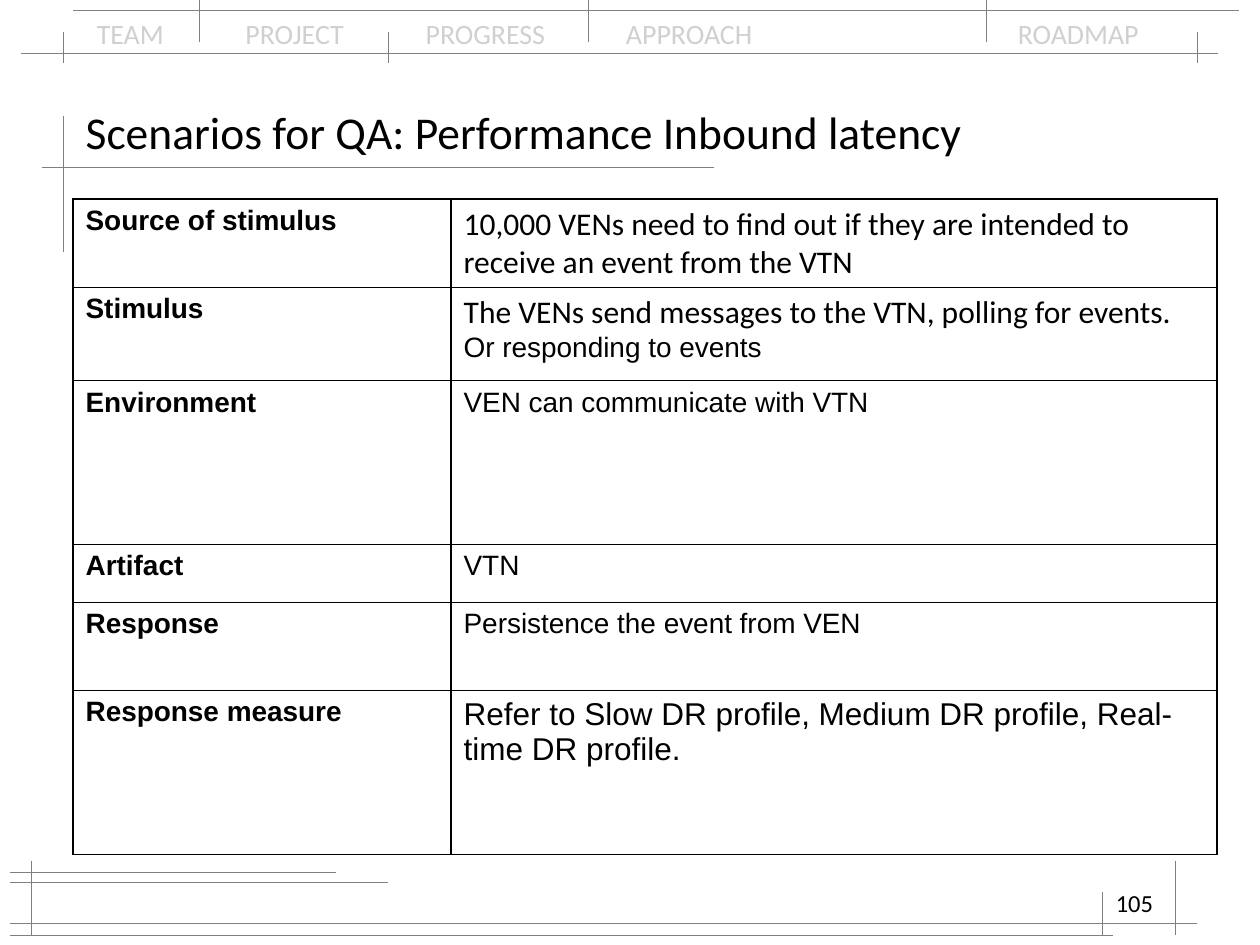
from lxml import etree
from pptx import Presentation
from pptx.dml.color import RGBColor
from pptx.enum.shapes import MSO_CONNECTOR
from pptx.enum.text import MSO_ANCHOR, PP_ALIGN
from pptx.oxml.ns import qn
from pptx.util import Inches, Pt

STRAIGHT = MSO_CONNECTOR.STRAIGHT
MIDDLE = MSO_ANCHOR.MIDDLE
LEFT, RIGHT = PP_ALIGN.LEFT, PP_ALIGN.RIGHT
TITLE_ONLY = 5

BLACK, GRAY, PALE = "000000", "808080", "D0D0D0"

# Each tab label with its distance from the first one, in inches
NAVIGATION = [("TEAM", 0), ("PROJECT", 1.18), ("PROGRESS", 2.61),
              ("APPROACH", 4.2), ("ROADMAP", 7.31)]

# Horizontal rules: (y, left, right); vertical rules: (x, top, bottom)
HORIZONTAL_RULES = [(0.42, 0.17, 9.67), (0.08, 0.58, 9.83), (1.33, 0.33, 5.67),
                    (7, 0.08, 3.08), (7.33, 0.08, 9.5), (6.92, 0.08, 2.67),
                    (7.42, 0.08, 8.83)]
VERTICAL_RULES = [(0.5, 0.92, 2), (0.25, 6.83, 7.42), (9.33, 6.83, 7.42),
                  (8.75, 7.08, 7.42), (0.5, 0.25, 0.5), (3.08, 0.25, 0.5),
                  (9.5, 0.25, 0.5), (1.58, 0, 0.33), (4.67, 0, 0.33),
                  (7.83, 0, 0.33)]

COLUMN_WIDTHS = [3, 6.08]
# Row height, label, and paragraphs as (text, font, size)
SCENARIO = [
    (0.58, "Source of stimulus",
     [("10,000 VENs need to find out if they are intended to receive an event "
       "from the VTN", "Calibri", 18)]),
    (0.74, "Stimulus",
     [("The VENs send messages to the VTN, polling for events.", "Calibri", 18),
      ("Or responding to events", "Arial", 16)]),
    (1.3, "Environment", [("VEN can communicate with VTN", "Arial", 16)]),
    (0.46, "Artifact", [("VTN", "Arial", 16)]),
    (0.7, "Response", [("Persistence the event from VEN", "Arial", 16)]),
    (1.3, "Response measure",
     [("Refer to Slow DR profile, Medium DR profile, Real-time DR profile.",
       "Arial", 18)]),
]


def color(hex_string):
    return RGBColor.from_string(hex_string)


def style(para, font, size, hex_string=BLACK, bold=False):
    para.font.name = font
    para.font.size = Pt(size)
    para.font.bold = bold
    para.font.color.rgb = color(hex_string)


def add_text_box(page, box):
    frame = page.shapes.add_textbox(*map(Inches, box)).text_frame
    frame.word_wrap = True
    return frame.paragraphs[0]


def add_rule(page, x1, y1, x2, y2):
    rule = page.shapes.add_connector(STRAIGHT, *map(Inches, (x1, y1, x2, y2)))
    rule.line.color.rgb = color(GRAY)
    rule.line.width = Pt(0.3)
    etree.SubElement(rule._element.spPr, qn("a:effectLst"))


def add_rules(page):
    for y, left, right in HORIZONTAL_RULES:
        add_rule(page, left, y, right, y)
    for x, top, bottom in VERTICAL_RULES:
        add_rule(page, x, top, x, bottom)


def add_navigation(page, box):
    para = add_text_box(page, box)
    para.text = "\t".join(label for label, _ in NAVIGATION)
    tabs = etree.SubElement(para._p.get_or_add_pPr(), qn("a:tabLst"))
    for _, offset in NAVIGATION[1:]:
        etree.SubElement(tabs, qn("a:tab"), pos=str(Inches(offset)), algn="l")
    style(para, "Calibri", 16, PALE)


def add_title(page, box, text):
    title = page.shapes.title
    title.left, title.top, title.width, title.height = map(Inches, box)
    title.text_frame.vertical_anchor = MIDDLE
    para = title.text_frame.paragraphs[0]
    para.text = text
    para.alignment = LEFT
    style(para, "Calibri", 26)


def add_page_number(page, box, number):
    para = add_text_box(page, box)
    para.text = number
    para.alignment = RIGHT
    style(para, "Calibri", 14)


def add_borders(cell):
    properties = cell._tc.get_or_add_tcPr()
    for index, side in enumerate(("lnL", "lnR", "lnT", "lnB")):
        border = etree.Element(qn(f"a:{side}"), w=str(Pt(1)))
        fill = etree.SubElement(border, qn("a:solidFill"))
        etree.SubElement(fill, qn("a:srgbClr"), val=BLACK)
        properties.insert(index, border)


def fill_cell(cell, paragraphs, bold):
    cell.fill.background()
    add_borders(cell)
    frame = cell.text_frame
    frame.text = "\n".join(text for text, _, _ in paragraphs)
    for para, (_, font, size) in zip(frame.paragraphs, paragraphs):
        style(para, font, size, bold=bold)


def add_scenario_table(page, box):
    table = page.shapes.add_table(len(SCENARIO), len(COLUMN_WIDTHS),
                                  *map(Inches, box)).table
    table.first_row = False
    table.horz_banding = False
    for column, width in zip(table.columns, COLUMN_WIDTHS):
        column.width = Inches(width)
    for row, (height, label, paragraphs) in zip(table.rows, SCENARIO):
        row.height = Inches(height)
        fill_cell(row.cells[0], [(label, "Arial", 16)], bold=True)
        fill_cell(row.cells[1], paragraphs, bold=False)


def main():
    deck = Presentation()
    deck.slide_width, deck.slide_height = Inches(10), Inches(7.5)
    page = deck.slides.add_slide(deck.slide_layouts[TITLE_ONLY])
    add_navigation(page, (0.67, 0.08, 8.67, 0.37))
    add_rules(page)
    add_title(page, (0.58, 0.75, 8.83, 0.58),
              "Scenarios for QA: Performance Inbound latency")
    add_page_number(page, (7.17, 7, 2.08, 0.5), "105")
    add_scenario_table(page, (0.58, 1.58, 9.08, 5.08))
    deck.save("out.pptx")


if __name__ == "__main__":
    main()
